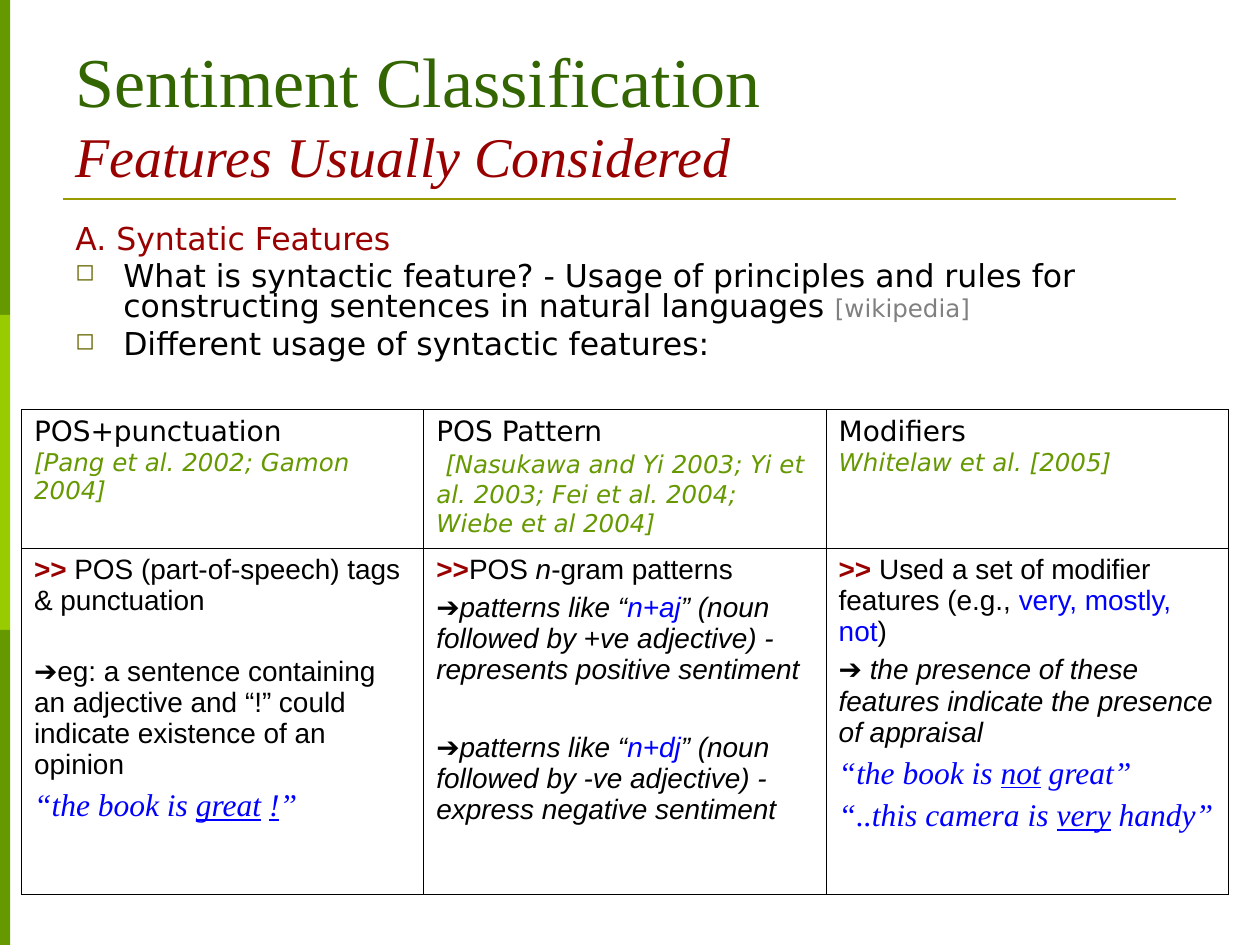
import pptx
import pptx.util
import pptx.dml.color
import pptx.enum.shapes
import pptx.enum.text
from dataclasses import dataclass
from lxml import etree
from pptx.util import Inches, Pt


@dataclass(frozen=True)
class Theme:
    black: str = "000000"
    gray: str = "808080"
    green: str = "669900"
    lime: str = "99CC00"
    dark: str = "336600"
    olive: str = "999900"
    moss: str = "666600"
    red: str = "990000"
    blue: str = "0000FF"
    sans: str = "DejaVu Sans"
    arial: str = "Arial"
    serif: str = "Times New Roman"
    huge: int = 40
    large: int = 32
    body: int = 18
    cell: int = 16
    note: int = 14


T = Theme()
NS = "http://schemas.openxmlformats.org/drawingml/2006/main"

# Text styles
HEAD = dict(name=T.sans, size=T.cell, color=T.black)
CITE = dict(size=T.note, color=T.green, italic=True)
TEXT = dict(name=T.arial, size=T.cell, color=T.black)
SLANT = dict(TEXT, italic=True)
QUOTE = dict(name=T.serif, size=T.body, color=T.blue, italic=True)
BODY = dict(name=T.sans, size=T.body, color=T.black)
MARK = (">>", dict(color=T.red, bold=True))
BLUE = dict(color=T.blue)
LINE = dict(underline=True)

# Table content: cell -> paragraphs of (style, space before, runs)
ROWS = [
    [
        [(HEAD, 0, ["POS+punctuation", "\n",
                    ("[Pang et al. 2002; Gamon 2004]", CITE)])],
        [(HEAD, 0, ["POS Pattern", "\n", " ",
                    ("[Nasukawa and Yi 2003; Yi et al. 2003; Fei et al. 2004; "
                     "Wiebe et al 2004]", CITE)])],
        [(HEAD, 0, ["Modifiers", "\n", ("Whitelaw et al. [2005]", CITE)])],
    ],
    [
        [
            (TEXT, 0, [MARK, " POS (part-of-speech) tags & punctuation"]),
            (TEXT, 22.5, ["➔eg: a sentence containing an adjective and “!” "
                          "could indicate existence of an opinion"]),
            (QUOTE, 4.5, ["“the book is ", ("great", LINE), " ",
                          ("!", LINE), "”"]),
        ],
        [
            (TEXT, 0, [MARK, "POS ", ("n", dict(italic=True)),
                       "-gram patterns"]),
            (SLANT, 4, [("➔", dict(italic=False)), "patterns like “",
                        ("n+aj", BLUE),
                        "” (noun followed by +ve adjective) - "
                        "represents positive sentiment"]),
            (SLANT, 26.5, ["➔patterns like “", ("n+dj", BLUE),
                           "” (noun followed by -ve adjective) - "
                           "express negative sentiment"]),
        ],
        [
            (TEXT, 0, [MARK, " Used a set of modifier features (e.g., ",
                       ("very, mostly, not", BLUE), ")"]),
            (SLANT, 4, ["➔ the presence of these features indicate "
                        "the presence of appraisal"]),
            (QUOTE, 4.5, ["“the book is ", ("not", LINE), " great”"]),
            (QUOTE, 4.5, ["“..this camera is ", ("very", LINE), " handy”"]),
        ],
    ],
]


def rgb(code):
    return pptx.dml.color.RGBColor.from_string(code)


def style(font, name=None, size=None, color=None, **flags):
    if name:
        font.name = name
    if size:
        font.size = Pt(size)
    if color:
        font.color.rgb = rgb(color)
    for key, value in flags.items():
        setattr(font, key, value)


def node(parent, tag, **attrs):
    return etree.SubElement(parent, f"{{{NS}}}{tag}", **attrs)


def bullet(para):
    props = para._p.get_or_add_pPr()
    node(node(props, "buClr"), "srgbClr", val=T.moss)
    node(props, "buSzPct", val="75000")
    node(props, "buChar", char="◻")


def write(para, base, gap, runs):
    para.space_before = Pt(gap)
    style(para.font, **base)
    for item in runs:
        if item == "\n":
            para.add_line_break()
            continue
        text, extra = (item, {}) if isinstance(item, str) else item
        run = para.add_run()
        run.text = text
        style(run.font, **extra)


def paras(frame, count):
    return [frame.paragraphs[0]] + [frame.add_paragraph()
                                    for _ in range(count - 1)]


def text_box(slide, box):
    frame = slide.shapes.add_textbox(*map(Inches, box)).text_frame
    frame.word_wrap = True
    return frame


def side_bar(slide, box):
    left, top, width, height = box
    step = height / 3
    for i, color in enumerate([T.green, T.lime, T.green]):
        bar = slide.shapes.add_shape(
            pptx.enum.shapes.MSO_SHAPE.RECTANGLE, Inches(left),
            Inches(top + i * step), Inches(width), Inches(step))
        bar.shadow.inherit = False
        bar.fill.solid()
        bar.fill.fore_color.rgb = rgb(color)
        bar.line.fill.background()


def title(slide, box):
    left, top, width, height = box
    # Rule just below the heading
    y = Inches(top + height + 0.03)
    rule = slide.shapes.add_connector(
        pptx.enum.shapes.MSO_CONNECTOR.STRAIGHT, Inches(left), y,
        Inches(left + 8.83), y)
    rule.line.color.rgb = rgb(T.olive)
    rule.line.width = Pt(1.5)
    node(rule._element.spPr, "effectLst")
    # Heading and subheading
    frame = text_box(slide, box)
    frame.vertical_anchor = pptx.enum.text.MSO_ANCHOR.BOTTOM
    write(frame.paragraphs[0], dict(name=T.serif), 0, [
        ("Sentiment Classification", dict(size=T.huge, color=T.dark)), "\n",
        ("Features Usually Considered",
         dict(size=T.large, color=T.red, italic=True))])


def intro(slide, box):
    items = [
        (dict(BODY, color=T.red), 0, ["A. Syntatic Features"]),
        (BODY, 3.5, ["What is syntactic feature? - Usage of principles and "
                     "rules for constructing sentences in natural languages ",
                     ("[wikipedia]", dict(size=T.note, color=T.gray))]),
        (BODY, 4.5, ["Different usage of syntactic features:"]),
    ]
    frame = text_box(slide, box)
    for i, (para, item) in enumerate(zip(paras(frame, len(items)), items)):
        para.line_spacing = 0.8
        if i:
            props = para._p.get_or_add_pPr()
            props.set("marL", str(Inches(0.38)))
            props.set("indent", str(-Inches(0.38)))
            bullet(para)
        write(para, *item)


def border(cell):
    props = cell._tc.get_or_add_tcPr()
    for side in ("lnL", "lnR", "lnT", "lnB"):
        line = node(props, side, w=str(Pt(0.45)))
        node(node(line, "solidFill"), "srgbClr", val=T.black)


def grid(slide, box):
    table = slide.shapes.add_table(2, 3, *map(Inches, box)).table
    table.first_row = table.horz_banding = False
    for col in table.columns:
        col.width = Inches(box[2] / 3)
    for row, height in zip(table.rows, (1.1, box[3] - 1.1)):
        row.height = Inches(height)
    for row, cells in zip(table.rows, ROWS):
        for cell, items in zip(row.cells, cells):
            border(cell)
            cell.fill.background()
            for para, item in zip(paras(cell.text_frame, len(items)), items):
                write(para, *item)


def main():
    deck = pptx.Presentation()
    deck.slide_width, deck.slide_height = Inches(10), Inches(7.5)
    slide = deck.slides.add_slide(deck.slide_layouts[6])
    side_bar(slide, (0, 0, 0.08, 7.5))
    title(slide, (0.5, 0.3, 9, 1.25))
    intro(slide, (0.5, 1.75, 8.92, 1.2))
    grid(slide, (0.17, 3.25, 9.58, 3.85))
    deck.save("out.pptx")


if __name__ == "__main__":
    main()
